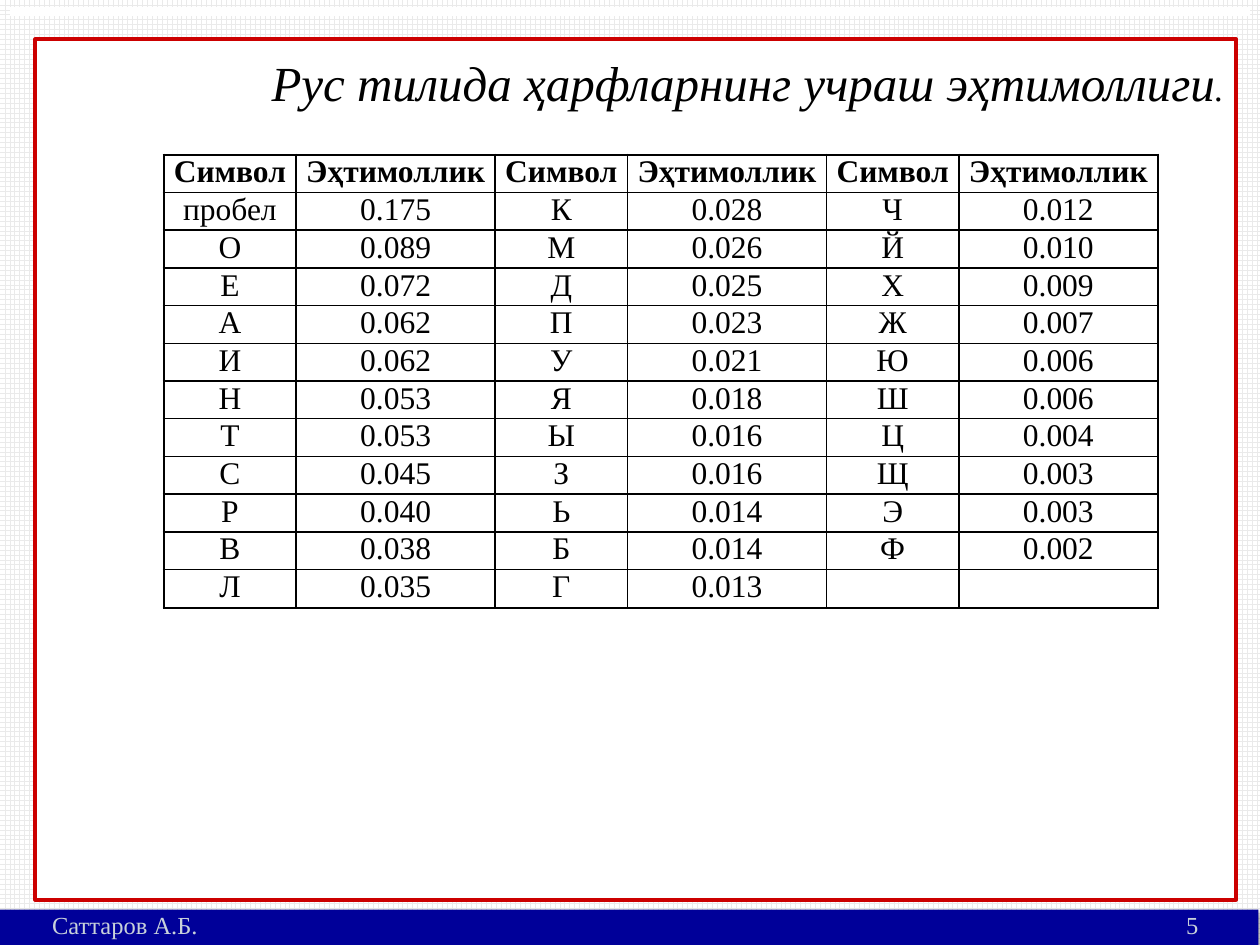
import dataclasses
import itertools

import lxml.etree
import pptx
import pptx.dml.color
import pptx.enum.dml
import pptx.enum.shapes
import pptx.enum.text
import pptx.oxml
import pptx.oxml.ns
import pptx.util

Cm = pptx.util.Cm
Pt = pptx.util.Pt
ALIGN = pptx.enum.text.PP_ALIGN
ANCHOR = pptx.enum.text.MSO_ANCHOR


@dataclasses.dataclass(frozen=True)
class Theme:
    font: str = "Times New Roman"
    ink: str = "000000"
    paper: str = "FFFFFF"
    grid: str = "EAEAEA"
    frame: str = "CC0000"
    footer: str = "000099"
    footer_text: str = "C8D1DA"
    title_size: float = 28
    stop_size: float = 20
    table_size: float = 18
    footer_size: float = 14
    inner_border: float = 1
    outer_border: float = 1.5


@dataclasses.dataclass(frozen=True)
class Panel:
    left: float
    top: float
    width: float
    height: float
    fill: str
    line: str | None = None


@dataclasses.dataclass(frozen=True)
class LetterGroup:
    symbols: tuple[str, ...]
    chances: tuple[str, ...]


THEME = Theme()
FRAME = Panel(0.71, 0.79, 24.21, 17.35, THEME.paper, THEME.frame)
FOOTER = Panel(-0.03, 18.34, 25.4, 0.71, THEME.footer)
HEADINGS = ("Символ", "Эҳтимоллик")
COLUMN_WIDTHS = (2.67, 4.01)
ROW_HEIGHT = 0.76
LETTER_GROUPS = (
    LetterGroup(
        ("пробел", "О", "Е", "А", "И", "Н", "Т", "С", "Р", "В", "Л"),
        ("0.175", "0.089", "0.072", "0.062", "0.062", "0.053", "0.053",
         "0.045", "0.040", "0.038", "0.035"),
    ),
    LetterGroup(
        ("К", "М", "Д", "П", "У", "Я", "Ы", "З", "Ь", "Б", "Г"),
        ("0.028", "0.026", "0.025", "0.023", "0.021", "0.018", "0.016",
         "0.016", "0.014", "0.014", "0.013"),
    ),
    LetterGroup(
        ("Ч", "Й", "Х", "Ж", "Ю", "Ш", "Ц", "Щ", "Э", "Ф"),
        ("0.012", "0.010", "0.009", "0.007", "0.006", "0.006", "0.004",
         "0.003", "0.003", "0.002"),
    ),
)


def rgb(value: str) -> pptx.dml.color.RGBColor:
    return pptx.dml.color.RGBColor.from_string(value)


def add_element(parent, tag: str, **attributes: str):
    element = lxml.etree.SubElement(parent, pptx.oxml.ns.qn(tag))
    for name, value in attributes.items():
        element.set(name, value)
    return element


def write(paragraph, text: str, *, size: float, color: str = THEME.ink,
          align=ALIGN.CENTER, bold: bool = False, italic: bool = False,
          after: float = 0) -> None:
    paragraph.alignment = align
    paragraph.space_after = Pt(after)
    run = paragraph.add_run()
    run.text = text
    run.font.name = THEME.font
    run.font.size = Pt(size)
    run.font.bold = bold
    run.font.italic = italic
    run.font.color.rgb = rgb(color)


def draw_panel(slide, panel: Panel):
    shape = slide.shapes.add_shape(
        pptx.enum.shapes.MSO_SHAPE.RECTANGLE,
        Cm(panel.left), Cm(panel.top), Cm(panel.width), Cm(panel.height))
    shape.shadow.inherit = False
    shape.fill.solid()
    shape.fill.fore_color.rgb = rgb(panel.fill)
    if panel.line:
        shape.line.color.rgb = rgb(panel.line)
        shape.line.width = Pt(2)
    else:
        shape.line.fill.background()
    shape.text_frame.word_wrap = True
    return shape


def draw_title_frame(slide) -> None:
    frame = draw_panel(slide, FRAME).text_frame
    frame.vertical_anchor = ANCHOR.TOP
    frame.margin_top = Cm(0.26)
    title = frame.paragraphs[0]
    for text, size, italic in (
            ("Рус тилида ҳарфларнинг учраш эҳтимоллиги", THEME.title_size, True),
            (".", THEME.stop_size, True)):
        write(title, text, size=size, italic=italic, align=ALIGN.RIGHT, after=6)


def draw_top_rule(slide) -> None:
    rule = slide.shapes.add_connector(
        pptx.enum.shapes.MSO_CONNECTOR.STRAIGHT,
        Cm(0.2), Cm(0.23), Cm(25.2), Cm(0.23))
    rule.line.color.rgb = rgb(THEME.paper)
    rule.line.width = Pt(5)
    add_element(rule._element.spPr, "a:effectLst")


def draw_footer(slide) -> None:
    bar = draw_panel(slide, FOOTER)
    effects = bar._element.spPr.find(pptx.oxml.ns.qn("a:effectLst"))
    shadow = add_element(effects, "a:outerShdw", blurRad=str(Pt(3.1)),
                         dist=str(Pt(1.8)), dir="5400000", rotWithShape="0")
    shade = add_element(shadow, "a:srgbClr", val=THEME.ink)
    add_element(shade, "a:alpha", val="35000")

    frame = bar.text_frame
    frame.vertical_anchor = ANCHOR.MIDDLE
    frame.margin_left = Cm(1.08)
    frame.margin_top = 0
    frame.margin_bottom = Cm(0.1)
    credit = frame.paragraphs[0]
    tabs = add_element(credit._p.get_or_add_pPr(), "a:tabLst")
    add_element(tabs, "a:tab", pos=str(Cm(23.11)), algn="r")
    write(credit, "Саттаров А.Б.\t5", size=THEME.footer_size,
          color=THEME.footer_text, align=ALIGN.LEFT)


def border_cell(cell, outer_sides: dict[str, bool]) -> None:
    properties = cell._tc.get_or_add_tcPr()
    for side, outer in outer_sides.items():
        width = THEME.outer_border if outer else THEME.inner_border
        line = add_element(properties, f"a:ln{side}", w=str(Pt(width)))
        fill = add_element(line, "a:solidFill")
        add_element(fill, "a:srgbClr", val=THEME.ink)


def draw_letter_table(slide) -> None:
    columns = [column for group in LETTER_GROUPS
               for column in (group.symbols, group.chances)]
    rows = [HEADINGS * len(LETTER_GROUPS),
            *itertools.zip_longest(*columns, fillvalue="")]
    widths = COLUMN_WIDTHS * len(LETTER_GROUPS)
    table = slide.shapes.add_table(
        len(rows), len(widths), Cm(3.3), Cm(3.12),
        Cm(sum(widths)), Cm(ROW_HEIGHT * len(rows))).table
    table.first_row = False
    table.horz_banding = False
    for column, width in zip(table.columns, widths):
        column.width = Cm(width)
    for row_index, values in enumerate(rows):
        table.rows[row_index].height = Cm(ROW_HEIGHT)
        for column_index, value in enumerate(values):
            cell = table.cell(row_index, column_index)
            cell.margin_left = cell.margin_right = Cm(0.13)
            cell.margin_top = cell.margin_bottom = 0
            border_cell(cell, {
                "L": column_index == 0,
                "R": column_index == len(widths) - 1,
                "T": row_index == 0,
                "B": row_index == len(rows) - 1,
            })
            cell.fill.background()
            if value:
                write(cell.text_frame.paragraphs[0], value, after=6,
                      size=THEME.table_size, bold=row_index == 0)


def main() -> None:
    deck = pptx.Presentation()
    deck.slide_width, deck.slide_height = Cm(25.4), Cm(19.05)
    slide = deck.slides.add_slide(deck.slide_layouts[6])
    backdrop = slide.background.fill
    backdrop.patterned()
    backdrop.pattern = pptx.enum.dml.MSO_PATTERN.LARGE_GRID
    backdrop.fore_color.rgb = rgb(THEME.grid)
    backdrop.back_color.rgb = rgb(THEME.paper)
    draw_title_frame(slide)
    draw_top_rule(slide)
    draw_footer(slide)
    draw_letter_table(slide)
    deck.save("out.pptx")


if __name__ == "__main__":
    main()
